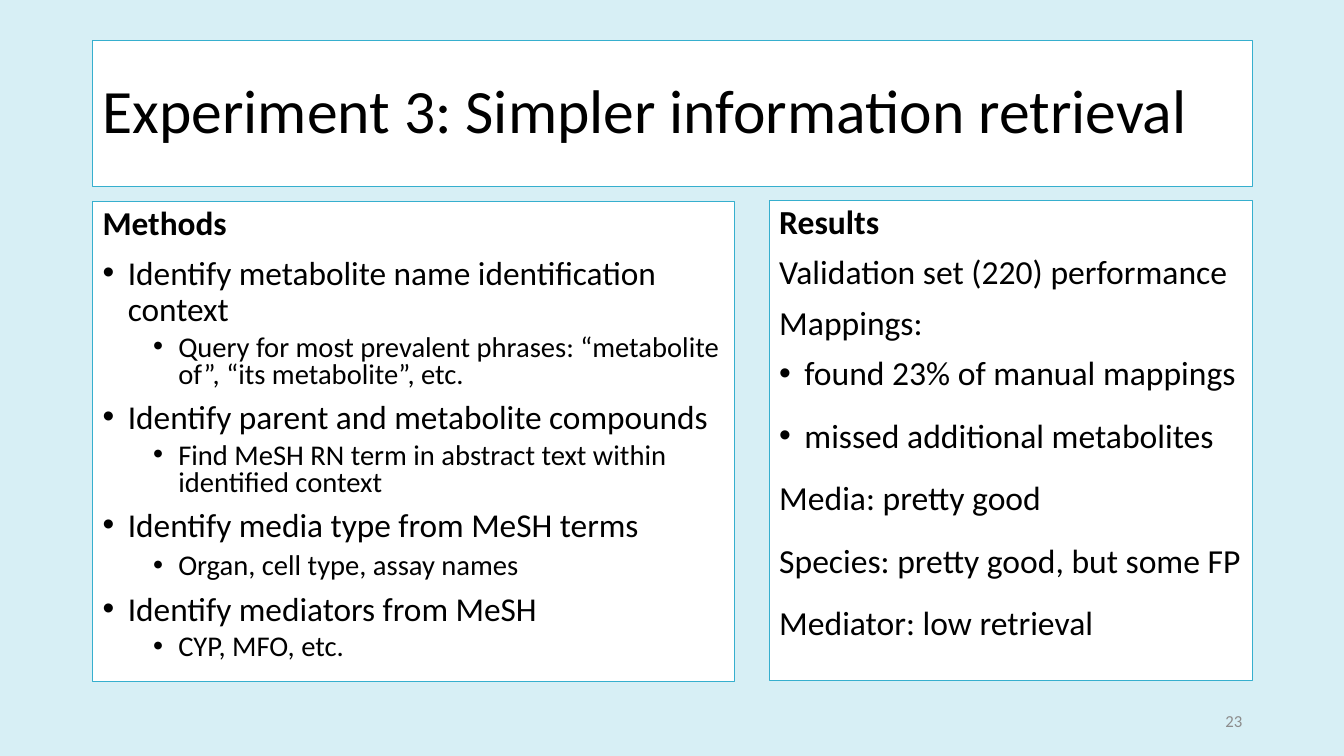
from pptx import Presentation, util as u
from pptx.dml.color import RGBColor
from pptx.enum import shapes, text
from lxml import etree

COLORS = {"background": "D7EFF5", "panel": "FFFFFF", "border": "36AFCE",
          "ink": "000000", "muted": "8C8C8C"}
WIDTH, HEIGHT = 13.33, 7.5
MARGIN, CONTENT_WIDTH = 0.92, 11.5
BULLET_INDENT = 0.25
DRAWING_NS = "http://schemas.openxmlformats.org/drawingml/2006/main"

METHODS = [
    ("Identify metabolite name identification context", 0, 0.9),
    ("Query for most prevalent phrases: “metabolite of”, “its metabolite”, etc.", 1, 0.8),
    ("Identify parent and metabolite compounds", 0, 0.8),
    ("Find MeSH RN term in abstract text within identified context", 1, 0.8),
    ("Identify media type from MeSH terms", 0, 0.8),
    ("Organ, cell type, assay names", 1, 0.9),
    ("Identify mediators from MeSH", 0, 0.8),
    ("CYP, MFO, etc.", 1, 0.8),
]
RESULTS = [
    ("Validation set (220) performance", None, 0.9),
    ("Mappings:", None, 0.9),
    ("found 23% of manual mappings", 0, 0.9),
    ("missed additional metabolites", 0, 1.2),
    ("Media: pretty good", None, 1.2),
    ("Species: pretty good, but some FP", None, 1.2),
    ("Mediator: low retrieval", None, 1.2),
]


def color(name):
    return RGBColor.from_string(COLORS[name])


def write(frame, words, size=24, ink="ink", bold=False, level=None,
          spacing=None, before=0, align=text.PP_ALIGN.LEFT):
    paragraph = frame.paragraphs[0]
    if paragraph.runs:
        paragraph = frame.add_paragraph()
    paragraph.alignment = align
    paragraph.line_spacing = spacing
    paragraph.space_before = u.Pt(before)
    if level is not None:
        paragraph.level = level
        properties = paragraph._p.get_or_add_pPr()
        properties.set("marL", str(u.Inches(BULLET_INDENT * (1 + 2 * level))))
        properties.set("indent", str(u.Inches(-BULLET_INDENT)))
        font = etree.SubElement(properties, f"{{{DRAWING_NS}}}buFont")
        font.set("typeface", "Arial")
        etree.SubElement(properties, f"{{{DRAWING_NS}}}buChar").set("char", "•")
    run = paragraph.add_run()
    run.text = words
    run.font.name = "Calibri"
    run.font.size = u.Pt(size)
    run.font.bold = bold
    run.font.color.rgb = color(ink)


def panel(slide, box, anchor=text.MSO_ANCHOR.TOP):
    card = slide.shapes.add_shape(shapes.MSO_SHAPE.RECTANGLE, *map(u.Inches, box))
    card.shadow.inherit = False
    card.fill.solid()
    card.fill.fore_color.rgb = color("panel")
    card.line.color.rgb = color("border")
    card.line.width = u.Pt(0.75)
    card.text_frame.word_wrap = True
    card.text_frame.vertical_anchor = anchor
    return card.text_frame


def title(slide, box, words):
    write(panel(slide, box, text.MSO_ANCHOR.MIDDLE), words, size=44, spacing=0.9)


def column(slide, box, heading, points, size, detail_size):
    frame = panel(slide, box)
    write(frame, heading, size=size, bold=True, spacing=0.9, before=10)
    for words, level, spacing in points:
        detail = level == 1
        write(frame, words, size=detail_size if detail else size, level=level,
              spacing=spacing, before=5 if detail else 10)


def page_number(slide, box, number):
    frame = slide.shapes.add_textbox(*map(u.Inches, box)).text_frame
    frame.word_wrap = True
    frame.vertical_anchor = text.MSO_ANCHOR.MIDDLE
    write(frame, number, size=12, ink="muted", align=text.PP_ALIGN.RIGHT)


def main():
    deck = Presentation()
    deck.slide_width, deck.slide_height = u.Inches(WIDTH), u.Inches(HEIGHT)
    slide = deck.slides.add_slide(deck.slide_layouts[6])
    slide.background.fill.solid()
    slide.background.fill.fore_color.rgb = color("background")

    right = MARGIN + CONTENT_WIDTH
    methods_width, results_width, column_height = 6.37, 4.79, 4.76
    number_width = 3
    title(slide, (MARGIN, 0.4, CONTENT_WIDTH, 1.45),
          "Experiment 3: Simpler information retrieval")
    column(slide, (MARGIN, 2, methods_width, column_height),
           "Methods", METHODS, size=23.8, detail_size=20.4)
    page_number(slide, (right - number_width, 6.95, number_width, 0.4), "23")
    column(slide, (right - results_width, 1.99, results_width, column_height),
           "Results", RESULTS, size=24, detail_size=20)
    deck.save("out.pptx")


if __name__ == "__main__":
    main()
